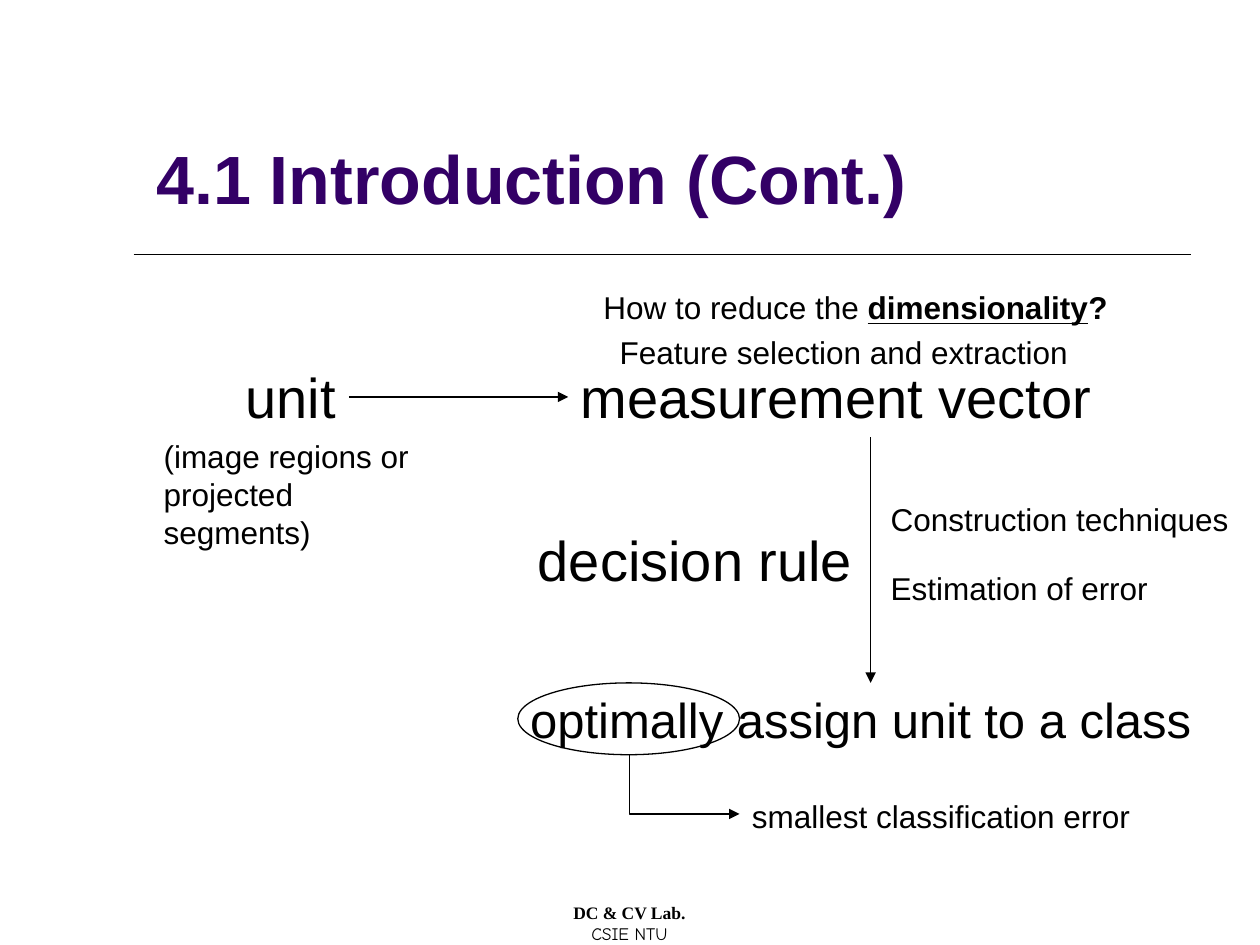
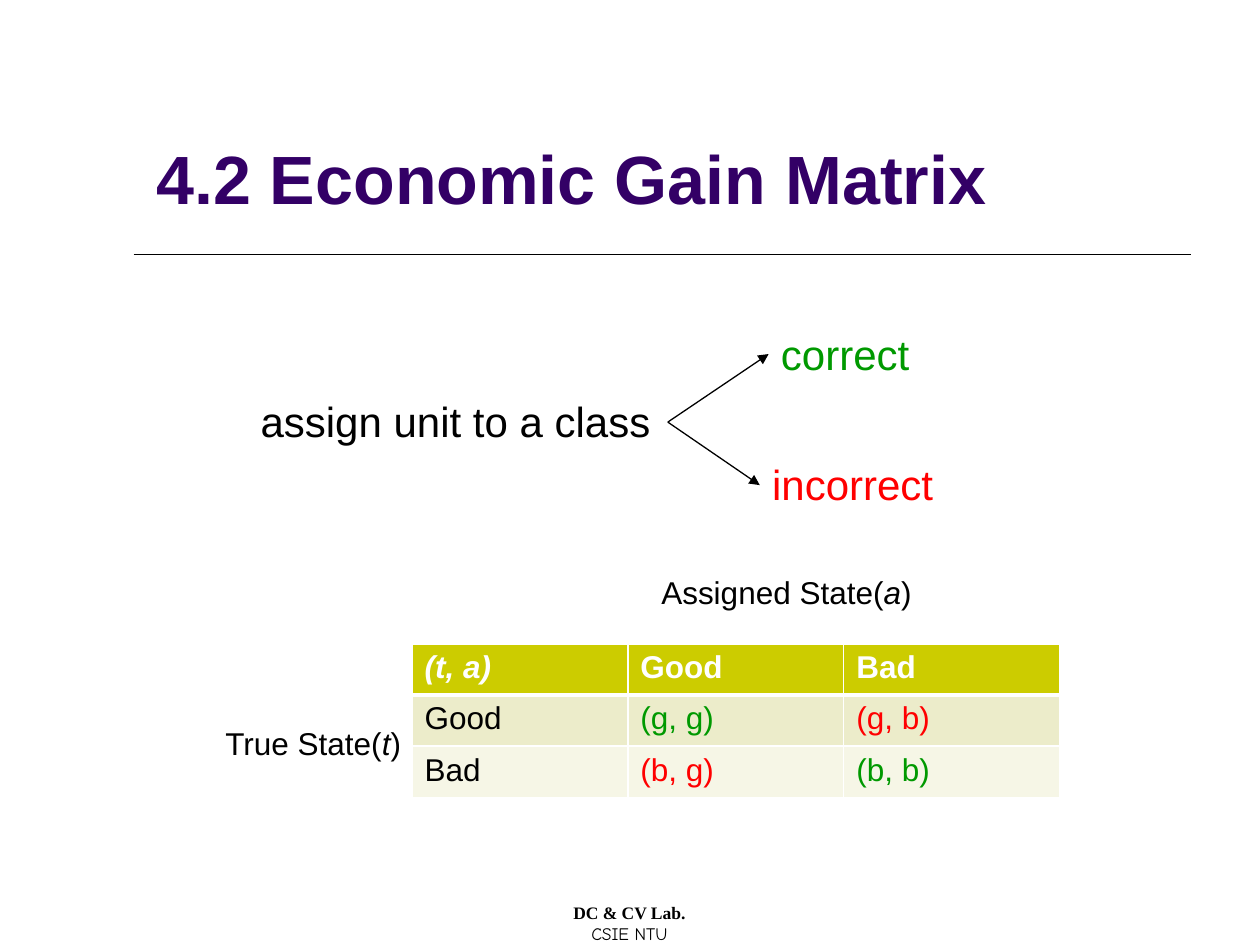
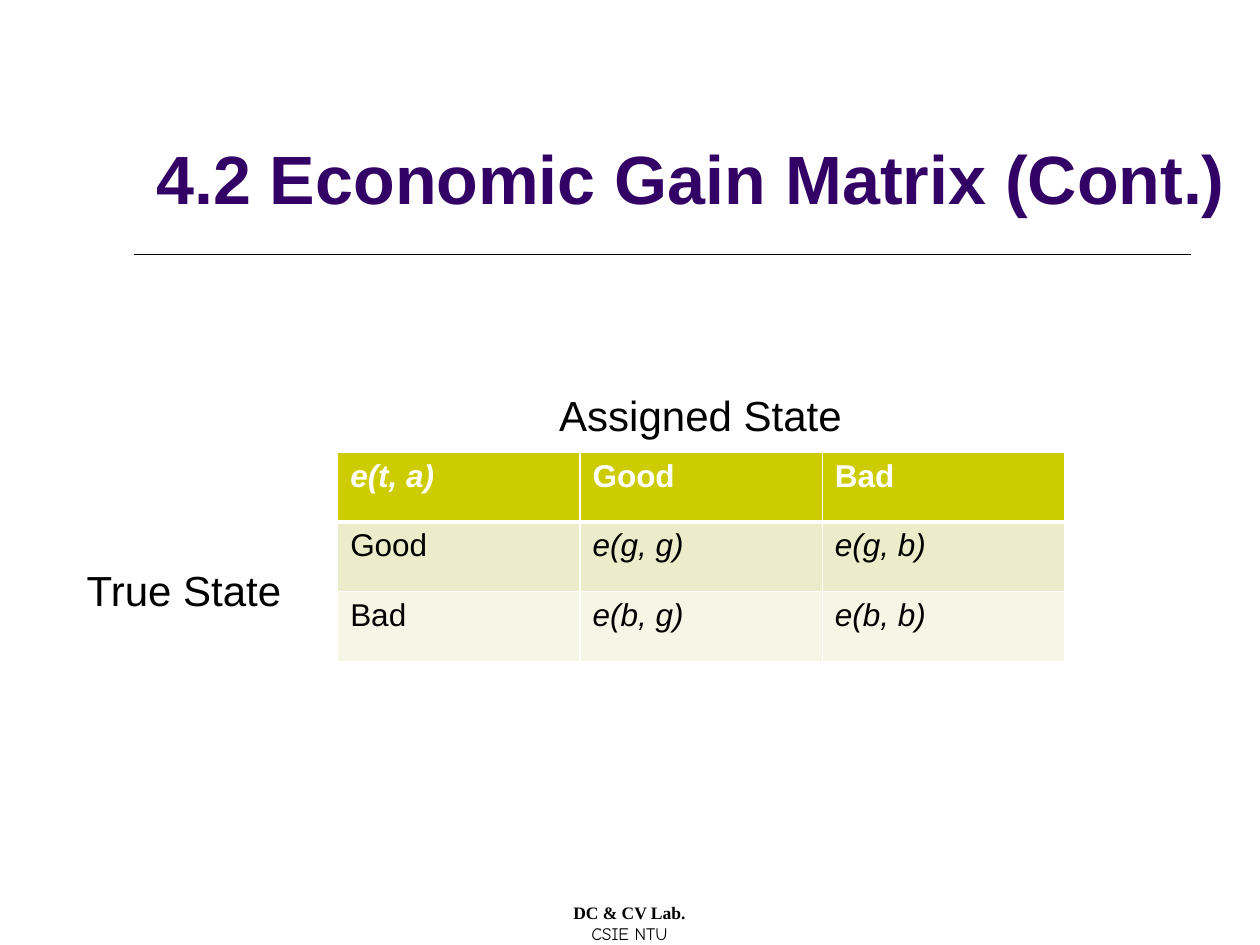
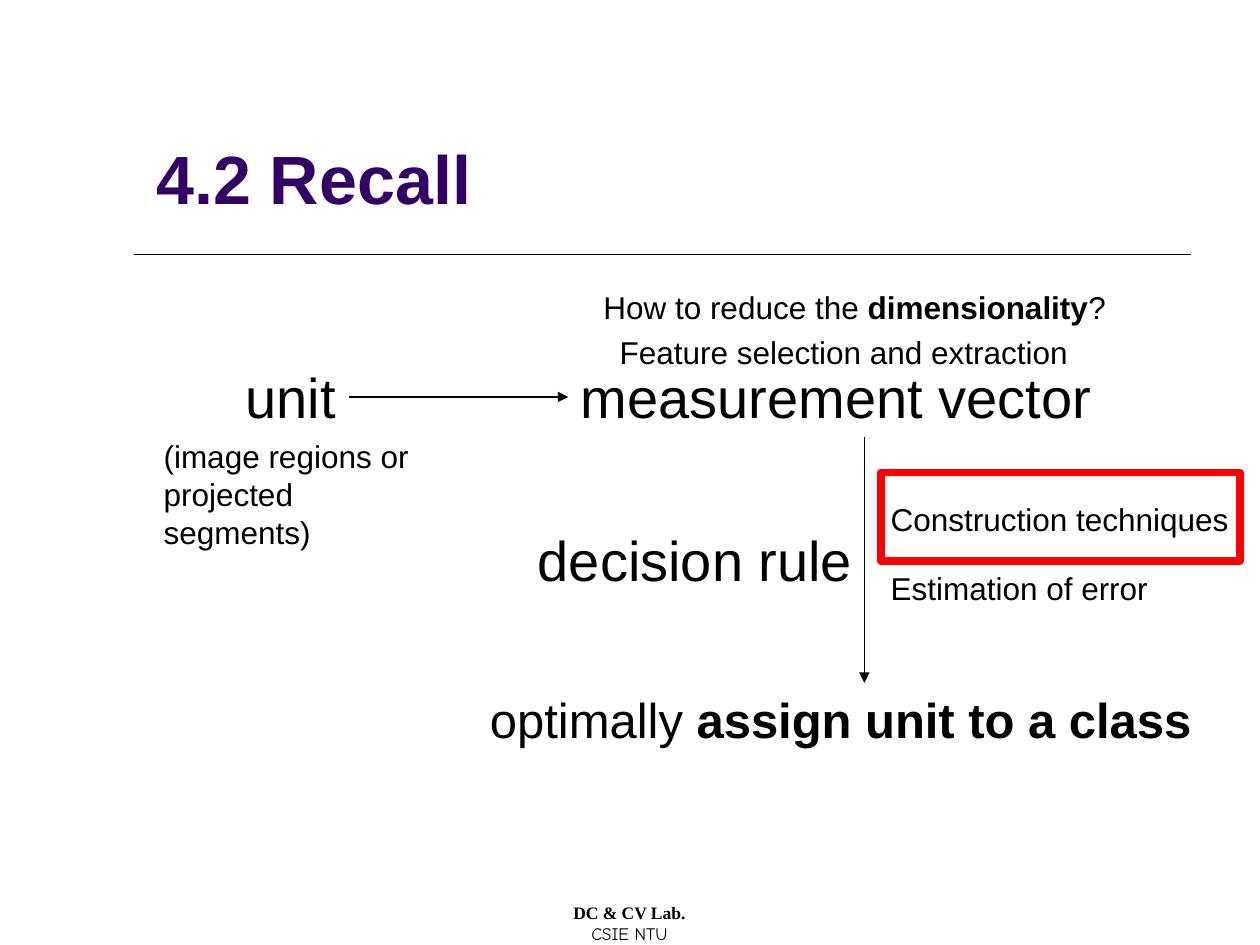
"""Build four slides on decision rules and the economic gain matrix."""
from dataclasses import dataclass

from lxml.etree import SubElement
from pptx import Presentation
from pptx.dml.color import RGBColor
from pptx.enum.shapes import MSO_CONNECTOR as CONN, MSO_SHAPE as SHAPE
from pptx.enum.text import MSO_ANCHOR as ANCHOR, MSO_AUTO_SIZE as FIT, PP_ALIGN as ALIGN
from pptx.oxml.ns import qn
from pptx.util import Inches, Pt


@dataclass(frozen=True)
class Theme:
    font: str = "Arial"
    lab_font: str = "Times New Roman"
    school_font: str = "Comic Neue"
    ink: str = "000000"
    title: str = "330066"
    good: str = "009900"
    bad: str = "FF0000"
    white: str = "FFFFFF"
    rows: tuple = ("CCCC00", "ECECCA", "F6F6E6")
    title_size: float = 39
    huge: float = 32
    large: float = 28
    medium: float = 24
    body: float = 18
    foot: float = 10
    thin: float = 0.75
    thick: float = 4.5


class Deck:
    def __init__(self, theme):
        self.t = theme
        self.prs = Presentation()
        self.prs.slide_width, self.prs.slide_height = Inches(10), Inches(7.5)
        self.s = None

    def slide(self, title):
        self.s = self.prs.slides.add_slide(self.prs.slide_layouts[5])
        sp = self.s.shapes.title
        sp.left, sp.top, sp.width, sp.height = map(Inches, (1.14, 0.36, 8.86, 1.42))
        tf = sp.text_frame
        tf.auto_size, tf.vertical_anchor = FIT.NONE, ANCHOR.BOTTOM
        self.fill_text(tf.paragraphs[0], title, self.t.title_size, self.t.title, "b")
        tf.paragraphs[0].alignment = ALIGN.LEFT
        self.line((1.06, 2.02), (9.45, 2.02))
        self.footer()

    def footer(self):
        tf = self.text((3.41, 7.11, 3.17, 0.5), ["DC & CV Lab.", "CSIE NTU"], self.t.foot, wrap=True)
        for p, font, bold in zip(tf.paragraphs, (self.t.lab_font, self.t.school_font), (True, False)):
            p.alignment = ALIGN.CENTER
            p.runs[0].font.name, p.runs[0].font.bold = font, bold

    def fill_text(self, p, content, size, color, flags=""):
        if isinstance(content, str):
            p.text = content
            styles = [flags]
        else:
            for words, _ in content:
                p.add_run().text = words
            styles = [style for _, style in content]
        for r, style in zip(p.runs, styles):
            f = r.font
            f.name, f.size, f.color.rgb = self.t.font, Pt(size), RGBColor.from_string(color)
            f.bold, f.italic, f.underline = (key in style for key in "biu")

    def text(self, box, paragraphs, size=None, color=None, wrap=False):
        tf = self.s.shapes.add_textbox(*map(Inches, box)).text_frame
        tf.word_wrap = wrap
        for i, content in enumerate(paragraphs):
            p = tf.add_paragraph() if i else tf.paragraphs[0]
            self.fill_text(p, content, size or self.t.body, color or self.t.ink)
        return tf

    def line(self, start, end, arrow=False, kind=CONN.STRAIGHT):
        c = self.s.shapes.add_connector(kind, *map(Inches, start + end))
        c.line.color.rgb, c.line.width = RGBColor.from_string(self.t.ink), Pt(self.t.thin)
        if arrow:
            ln = c._element.spPr.find(qn("a:ln"))
            SubElement(ln, qn("a:tailEnd"), type="triangle")
        SubElement(c._element.spPr, qn("a:effectLst"))
        return c

    def elbow(self, start, end, bend):
        c = self.line(start, end, True, CONN.ELBOW)
        guides = c._element.spPr.find(qn("a:prstGeom")).find(qn("a:avLst"))
        SubElement(guides, qn("a:gd"), name="adj1", fmla=f"val {round(bend * 100000)}")

    def outline(self, kind, box, color, width):
        sp = self.s.shapes.add_shape(kind, *map(Inches, box))
        sp.shadow.inherit = False
        sp.fill.background()
        sp.line.color.rgb, sp.line.width = RGBColor.from_string(color), Pt(width)

    def border(self, cell, row):
        widths = {"L": 1, "R": 1, "T": 3 if row == 1 else 1, "B": 3 if row == 0 else 1}
        for side, width in widths.items():
            ln = SubElement(cell._tc.get_or_add_tcPr(), qn(f"a:ln{side}"), w=str(Pt(width)))
            SubElement(SubElement(ln, qn("a:solidFill")), qn("a:srgbClr"), val=self.t.white)

    def matrix(self, box, corner, prefix="", match=None, differ=None, flags=""):
        states = ("Good", "Bad")
        rows = [(corner, *states)]
        rows += [(a, *(f"{prefix}({a[0].lower()}, {b[0].lower()})" for b in states)) for a in states]
        tbl = self.s.shapes.add_table(3, 3, *map(Inches, box)).table
        for i, row in enumerate(rows):
            for j, words in enumerate(row):
                cell = tbl.cell(i, j)
                self.border(cell, i)
                cell.fill.solid()
                cell.fill.fore_color.rgb = RGBColor.from_string(self.t.rows[i])
                color, style = self.t.ink, ""
                if i == 0:
                    color, style = self.t.white, "b" if j else "bi"
                elif j:
                    color, style = (match if i == j else differ) or self.t.ink, flags
                self.fill_text(cell.text_frame.paragraphs[0], words, self.t.body, color, style)

    def decision_flow(self, question, conclusion, conclusion_box, arrow_x):
        t = self.t
        self.text((1.85, 2.83, 0.92, 0.64), ["unit"], t.huge)
        self.text((4.51, 2.83, 4.8, 0.64), ["measurement vector"], t.huge)
        self.text((4.17, 4.12, 2.79, 0.64), ["decision rule"], t.huge)
        self.text(conclusion_box, [conclusion], t.large)
        self.line((arrow_x, 3.47), (arrow_x, 5.42), True)
        self.line((2.77, 3.15), (4.51, 3.15), True)
        self.text((1.2, 3.42, 2.44, 0.71), ["(image regions or", "projected segments)"], wrap=True)
        self.text((4.69, 2.24, 4.24, 0.4), [question])
        self.text((4.82, 2.59, 3.79, 0.4), ["Feature selection and extraction"])
        self.text((6.97, 3.92, 2.91, 0.4), ["Construction techniques"])
        self.text((6.97, 4.47, 2.26, 0.4), ["Estimation of error"])


def main():
    t = Theme()
    d = Deck(t)
    ask = ("How to reduce the ", "")

    d.slide("4.1 Introduction (Cont.)")
    d.decision_flow([ask, ("dimensionality", "bu"), ("?", "b")],
                    "optimally assign unit to a class", (4.11, 5.42, 5.6, 0.57), 6.91)
    d.outline(SHAPE.OVAL, (4.11, 5.42, 1.76, 0.57), t.ink, t.thin)
    d.elbow((5.07, 5.99), (5.87, 6.46), -0.095)
    d.text((5.87, 6.28, 3.27, 0.4), ["smallest classification error"])

    d.slide("4.2 Economic Gain Matrix")
    d.text((1.97, 3.09, 3.33, 0.51), ["assign unit to a class"], t.medium)
    d.text((6.1, 2.56, 1.23, 0.51), ["correct"], t.medium, t.good)
    d.text((6.03, 3.59, 1.49, 0.51), ["incorrect"], t.medium, t.bad)
    for end in ((6.1, 2.81), (6.03, 3.85)):
        d.line((5.3, 3.35), end, True)
    d.matrix((3.27, 5.11, 5.14, 1.22), "(t, a)", match=t.good, differ=t.bad)
    d.text((1.69, 5.7, 1.61, 0.4), [[("True State(", ""), ("t", "i"), (")", "")]])
    d.text((5.15, 4.5, 2.21, 0.4), [[("Assigned State(", ""), ("a", "i"), (")", "")]])

    d.slide("4.2 Economic Gain Matrix (Cont.)")
    d.matrix((2.68, 3.59, 5.77, 1.66), "e(t, a)", prefix="e", flags="i")
    d.text((0.59, 4.43, 1.76, 0.5), ["True State"], t.medium)
    d.text((4.34, 3.04, 2.47, 0.5), ["Assigned State"], t.medium)

    d.slide("4.2 Recall")
    d.decision_flow([ask, ("dimensionality", "b"), ("?", "")],
                    [("optimally ", ""), ("assign unit to a class", "b")], (3.79, 5.42, 5.84, 0.57), 6.86)
    d.outline(SHAPE.RECTANGLE, (6.99, 3.75, 2.85, 0.7), t.bad, t.thick)

    d.prs.save("out.pptx")


if __name__ == "__main__":
    main()
